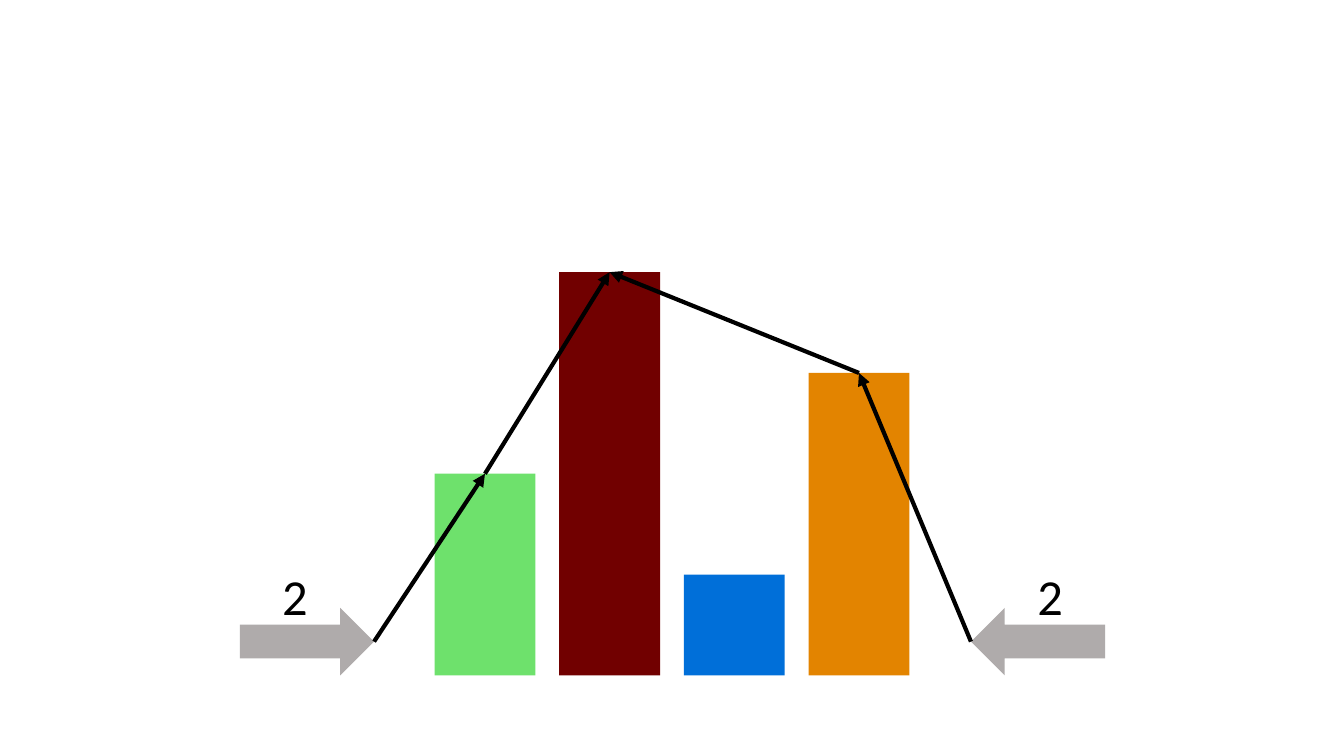
from dataclasses import dataclass
from itertools import pairwise

from lxml.etree import SubElement
from pptx import Presentation
from pptx.dml.color import RGBColor
from pptx.enum.shapes import MSO_CONNECTOR, MSO_SHAPE
from pptx.enum.text import MSO_AUTO_SIZE
from pptx.oxml.ns import qn
from pptx.util import Inches, Pt


@dataclass(frozen=True)
class Theme:
    """Colours, font and sizes of the slide."""

    green: str = "6EE16C"
    maroon: str = "710000"
    blue: str = "006FD9"
    orange: str = "E38400"
    grey: str = "AFABAB"
    ink: str = "000000"
    font: str = "Calibri"
    label_size: int = 36
    line_width: int = 3


THEME = Theme()
BASELINE = 6.7
BAR_WIDTH = 1
FIRST_BAR, LAST_BAR = 4.31, 8.02
BARS = [(2, THEME.green), (4, THEME.maroon), (1, THEME.blue), (3, THEME.orange)]
POINTER_WIDTH, POINTER_HEIGHT = 1.33, 0.67
LEFT_POINTER, RIGHT_POINTER = 2.38, 9.63
LABEL_TOP, LABEL_WIDTH, LABEL_HEIGHT = 5.56, 0.46, 0.71
LABEL_LEFTS = (2.7, 10.19)


def apply_format(target, values):
    """Set each named attribute of the target."""
    for name, value in values.items():
        setattr(target, name, value)


def add_block(page, kind, left, top, width, height, colour, rotation=0):
    """Add a plain filled shape without outline."""
    shape = page.shapes.add_shape(kind, *map(Inches, (left, top, width, height)))
    shape.fill.solid()
    shape.fill.fore_color.rgb = RGBColor.from_string(colour)
    shape.line.fill.background()
    shape.shadow.inherit = False
    shape.rotation = rotation


def add_bars(page):
    """Add evenly spaced bars and return the middle of each top."""
    step = (LAST_BAR - FIRST_BAR) / (len(BARS) - 1)
    tops = []
    for index, (height, colour) in enumerate(BARS):
        left, top = FIRST_BAR + index * step, BASELINE - height
        add_block(page, MSO_SHAPE.RECTANGLE, left, top, BAR_WIDTH, height, colour)
        tops.append((left + BAR_WIDTH / 2, top))
    return tops


def add_pointers(page):
    """Add the two inward block arrows and return their tips."""
    top = BASELINE - POINTER_HEIGHT
    for left, rotation in ((LEFT_POINTER, 0), (RIGHT_POINTER, 180)):
        add_block(page, MSO_SHAPE.RIGHT_ARROW, left, top,
                  POINTER_WIDTH, POINTER_HEIGHT, THEME.grey, rotation)
    middle = top + POINTER_HEIGHT / 2
    return (LEFT_POINTER + POINTER_WIDTH, middle), (RIGHT_POINTER, middle)


def add_arrow(page, start, end):
    """Add a straight line with an arrowhead at its end."""
    arrow = page.shapes.add_connector(
        MSO_CONNECTOR.STRAIGHT, *map(Inches, (*start, *end)))
    arrow.line.width = Pt(THEME.line_width)
    arrow.line.color.rgb = RGBColor.from_string(THEME.ink)
    SubElement(arrow.line._get_or_add_ln(), qn("a:tailEnd"), type="triangle")
    SubElement(arrow._element.spPr, qn("a:effectLst"))


def add_label(page, left, text):
    """Add a number above a block arrow."""
    box = page.shapes.add_textbox(
        *map(Inches, (left, LABEL_TOP, LABEL_WIDTH, LABEL_HEIGHT)))
    apply_format(box.text_frame, {
        "word_wrap": False, "auto_size": MSO_AUTO_SIZE.SHAPE_TO_FIT_TEXT})
    span = box.text_frame.paragraphs[0].add_run()
    span.text = text
    apply_format(span.font, {"name": THEME.font, "size": Pt(THEME.label_size)})
    span.font.color.rgb = RGBColor.from_string(THEME.ink)


def main():
    """Build and save the slide."""
    deck = Presentation()
    apply_format(deck, {"slide_width": Inches(13.33), "slide_height": Inches(7.5)})
    page = deck.slides.add_slide(deck.slide_layouts[6])
    green, maroon, _, orange = add_bars(page)
    left_tip, right_tip = add_pointers(page)
    for route in ((left_tip, green, maroon), (right_tip, orange, maroon)):
        for start, end in pairwise(route):
            add_arrow(page, start, end)
    for left in LABEL_LEFTS:
        add_label(page, left, "2")
    deck.save("out.pptx")


if __name__ == "__main__":
    main()
